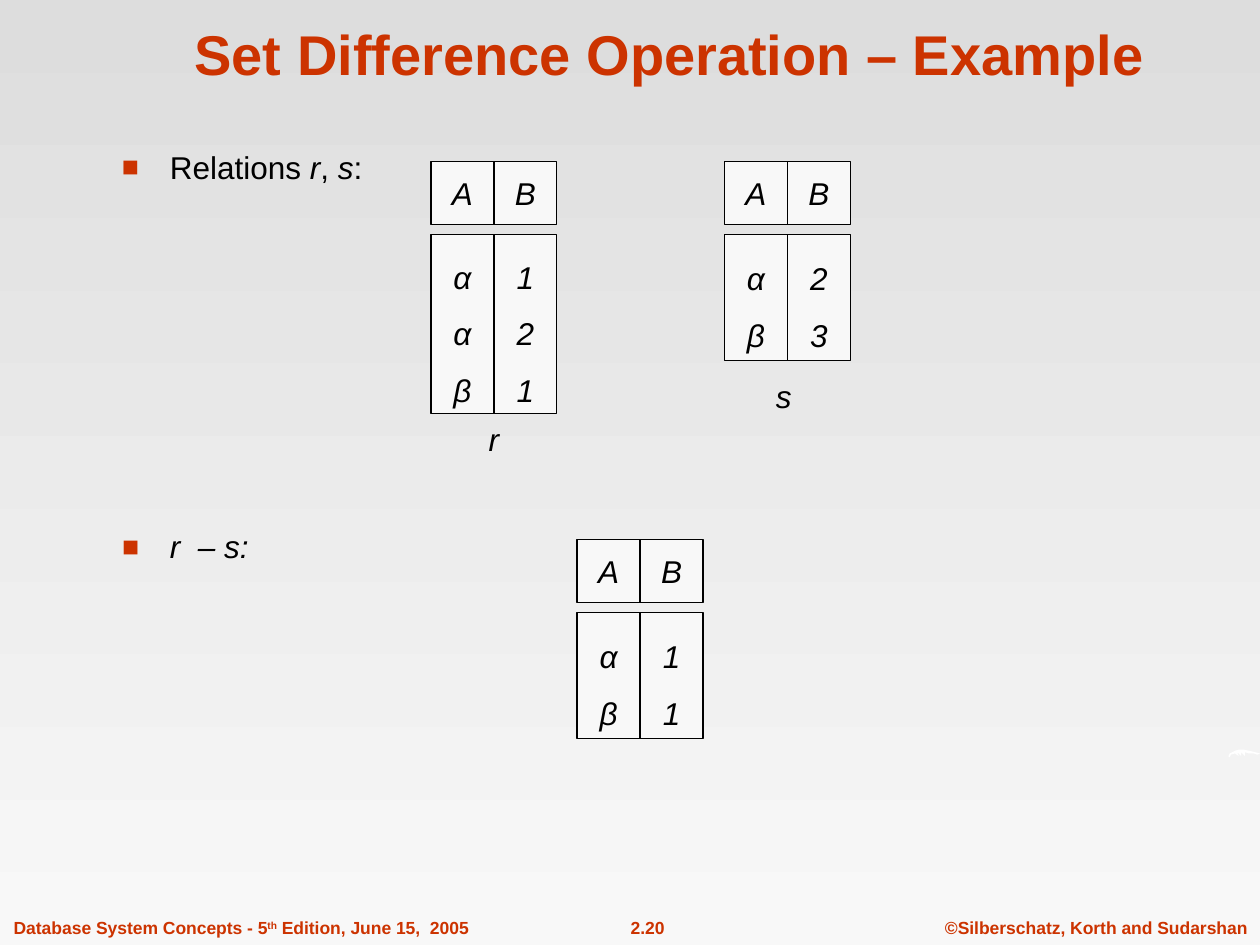
from lxml.etree import SubElement
from pptx import Presentation
from pptx.dml.color import RGBColor
from pptx.enum.shapes import MSO_SHAPE
from pptx.enum.text import MSO_ANCHOR, PP_ALIGN
from pptx.oxml.ns import qn
from pptx.util import Inches, Pt

HUE = {"red": "CC3300", "ink": "000000", "cell": "F8F8F8",
       "top": "DDDDDD", "base": "F8F8F8", "white": "FFFFFF"}
INK = {name: RGBColor.from_string(code) for name, code in HUE.items()}

deck = Presentation()
deck.slide_width, deck.slide_height = Inches(10), Inches(7.5)
slide = deck.slides.add_slide(deck.slide_layouts[5])
shapes = slide.shapes

back = slide.background.fill
back.gradient()
back.gradient_angle = 270
for stop, name in zip(back.gradient_stops, ("top", "base")):
    stop.color.rgb = INK[name]


def style(para, size=18, color="ink", bold=False, italic=None,
          align=PP_ALIGN.CENTER, before=0, line=1.0):
    para.alignment = align
    para.space_before = Pt(before)
    para.line_spacing = line
    font = para.font
    font.name, font.size = "Arial", Pt(size)
    font.bold, font.italic = bold, italic
    font.color.rgb = INK[color]


def label(left, top, width, height, wrap=False, anchor=MSO_ANCHOR.TOP):
    box = shapes.add_textbox(Inches(left), Inches(top), Inches(width), Inches(height))
    frame = box.text_frame
    frame.word_wrap = wrap
    frame.vertical_anchor = anchor
    return frame.paragraphs[0]


title = shapes.title
title.left, title.top = Inches(0.9), Inches(0.07)
title.width, title.height = Inches(8.83), Inches(0.67)
title.text_frame.text = "Set Difference Operation – Example"
title.text_frame.vertical_anchor = MSO_ANCHOR.BOTTOM
style(title.text_frame.paragraphs[0], 32, "red", True)

feet = [
    (7.4, 2.6, PP_ALIGN.CENTER, ["©Silberschatz, Korth and Sudarshan"]),
    (4.65, 0.98, PP_ALIGN.CENTER, ["2.20"]),
    (0.01, 3.81, PP_ALIGN.LEFT,
     ["Database System Concepts - 5", "th", " Edition, June 15,  2005"]),
]
for left, width, align, parts in feet:
    para = label(left, 7.23, width, 0.27)
    style(para, 10, "red", True, align=align, before=6.2)
    for part in parts:
        run = para.add_run()
        run.text = part
        if part == "th":
            run._r.get_or_add_rPr().set("baseline", "30000")

curve = [(975, 600), (976, 598), (978, 597), (980, 596), (983, 595), (987, 595),
         (992, 596), (996, 597), (1000, 598), (998, 599), (995, 598), (991, 598),
         (988, 597), (988, 600), (985, 597), (985, 600), (982, 597), (983, 600),
         (980, 598), (977, 599), (976, 601)]
pen = shapes.build_freeform(975, 601, scale=Inches(0.01))
pen.add_line_segments(curve, close=True)
swash = pen.convert_to_shape()
swash.shadow.inherit = False
swash.fill.solid()
swash.fill.fore_color.rgb = INK["white"]
swash.line.fill.background()

points = [
    (1.18, 7.5, 0.37, 0.8,
     [("Relations ", False), ("r", True), (", ", False), ("s", True), (":", False)]),
    (4.17, 7.69, 0.36, 0.9, [("r  – s:", True)]),
]
for top, width, height, line, parts in points:
    para = label(0.87, top, width, height, wrap=True)
    props = para._p.get_or_add_pPr()
    props.set("marL", str(Inches(0.38)))
    props.set("indent", str(Inches(-0.38)))
    tint = SubElement(props, qn("a:buClr"))
    SubElement(tint, qn("a:srgbClr"), val=HUE["red"])
    SubElement(props, qn("a:buSzPct"), val="90000")
    SubElement(props, qn("a:buFont"), typeface="Arial")
    SubElement(props, qn("a:buChar"), char="■")
    style(para, align=PP_ALIGN.LEFT, before=7.9, line=line)
    for text, slant in parts:
        run = para.add_run()
        run.text = text
        run.font.italic = slant

SIDE = 0.5
tables = [
    (3.42, 1.28, 1.42, {"A": "ααβ", "B": "121"}),
    (5.75, 1.28, 1, {"A": "αβ", "B": "23"}),
    (4.58, 4.28, 1, {"A": "αβ", "B": "11"}),
]
for left, top, tall, cols in tables:
    for col, (head, vals) in enumerate(cols.items()):
        for y, height, text, line in ((top, SIDE, head, 1.0),
                                      (top + 0.58, tall, vals, 1.5)):
            cell = shapes.add_shape(MSO_SHAPE.RECTANGLE, Inches(left + col * SIDE),
                                    Inches(y), Inches(SIDE), Inches(height))
            cell.shadow.inherit = False
            cell.fill.solid()
            cell.fill.fore_color.rgb = INK["cell"]
            cell.line.color.rgb = INK["ink"]
            cell.line.width = Pt(0.75)
            frame = cell.text_frame
            frame.word_wrap = False
            frame.vertical_anchor = MSO_ANCHOR.MIDDLE
            frame.text = "\n".join(text)
            for para in frame.paragraphs:
                style(para, italic=True, line=line)

for name, left, top, width in (("r", 3.78, 3.28, 0.28), ("s", 6.06, 2.94, 0.32)):
    para = label(left, top, width, 0.4, anchor=MSO_ANCHOR.MIDDLE)
    para.text = name
    style(para, italic=True, before=11.2)

deck.save("out.pptx")
